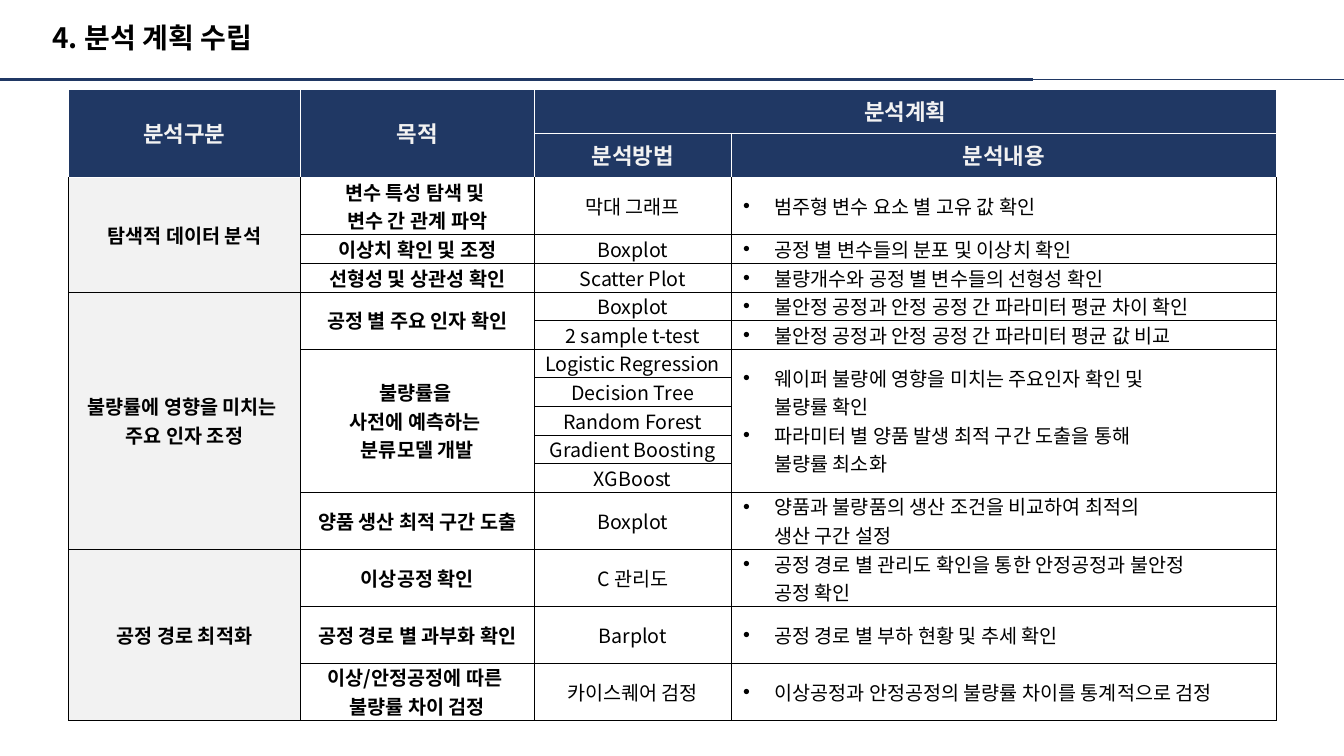
from dataclasses import dataclass
from itertools import product

from lxml.etree import SubElement
from pptx import Presentation
from pptx.dml.color import RGBColor
from pptx.enum.shapes import MSO_CONNECTOR
from pptx.enum.text import MSO_ANCHOR, MSO_AUTO_SIZE, PP_ALIGN
from pptx.oxml.ns import qn
from pptx.util import Inches, Pt


@dataclass(frozen=True)
class Theme:
    font: str = "Noto Sans CJK KR"
    navy: str = "203864"
    pale: str = "F2F2F2"
    black: str = "000000"
    white: str = "FFFFFF"
    title_size: int = 20
    header_size: int = 16
    body_size: int = 14
    border: float = 0.25


# Table content: None continues the cell above (or to the left in the top row)
HEADER_ROWS = 2
COLUMNS = [2.3, 2.32, 1.95, 5.41]
ROWS = [
    (0.44, "분석구분", "목적", "분석계획", None),
    (0.44, None, None, "분석방법", "분석내용"),
    (0.56, "탐색적 데이터 분석", "변수 특성 탐색 및 \n변수 간 관계 파악", "막대 그래프",
     ["범주형 변수 요소 별 고유 값 확인"]),
    (0.28, None, "이상치 확인 및 조정", "Boxplot", ["공정 별 변수들의 분포 및 이상치 확인"]),
    (0.28, None, "선형성 및 상관성 확인", "Scatter Plot",
     ["불량개수와 공정 별 변수들의 선형성 확인"]),
    (0.28, "불량률에 영향을 미치는 \n주요 인자 조정", "공정 별 주요 인자 확인", "Boxplot",
     ["불안정 공정과 안정 공정 간 파라미터 평균 차이 확인"]),
    (0.28, None, None, "2 sample t-test",
     ["불안정 공정과 안정 공정 간 파라미터 평균 값 비교"]),
    (0.28, None, "불량률을 \n사전에 예측하는 \n분류모델 개발", "Logistic Regression",
     ["웨이퍼 불량에 영향을 미치는 주요인자 확인 및 \n불량률 확인",
      "파라미터 별 양품 발생 최적 구간 도출을 통해 \n불량률 최소화"]),
    (0.28, None, None, "Decision Tree", None),
    (0.28, None, None, "Random Forest", None),
    (0.28, None, None, "Gradient Boosting", None),
    (0.28, None, None, "XGBoost", None),
    (0.56, None, "양품 생산 최적 구간 도출", "Boxplot",
     ["양품과 불량품의 생산 조건을 비교하여 최적의 \n생산 구간 설정"]),
    (0.56, "공정 경로 최적화", "이상공정 확인", "C 관리도",
     ["공정 경로 별 관리도 확인을 통한 안정공정과 불안정 \n공정 확인"]),
    (0.56, None, "공정 경로 별 과부화 확인", "Barplot", ["공정 경로 별 부하 현황 및 추세 확인"]),
    (0.56, None, "이상/안정공정에 따른 \n불량률 차이 검정", "카이스퀘어 검정",
     ["이상공정과 안정공정의 불량률 차이를 통계적으로 검정"]),
]


class SlideBuilder:
    def __init__(self, slide, theme):
        self.slide = slide
        self.theme = theme

    def style(self, p, size, color, bold):
        for r in p.runs:
            r.font.name = self.theme.font
            r.font.size = Pt(size)
            r.font.bold = bold
            r.font.color.rgb = RGBColor.from_string(color)
            SubElement(r.font._element, qn("a:ea"), typeface=self.theme.font)

    def title(self, text, left, top, width, height):
        sp = self.slide.shapes.title
        sp.left, sp.top = Inches(left), Inches(top)
        sp.width, sp.height = Inches(width), Inches(height)
        tf = sp.text_frame
        tf.text = text
        tf.auto_size = MSO_AUTO_SIZE.NONE
        tf.vertical_anchor = MSO_ANCHOR.TOP
        tf.margin_top = 0
        p = tf.paragraphs[0]
        p.alignment = PP_ALIGN.LEFT
        p.line_spacing = 0.9
        self.style(p, self.theme.title_size, self.theme.black, True)

    def rules(self, y, *lines):
        group = self.slide.shapes.add_group_shape()
        for end, weight in lines:
            line = group.shapes.add_connector(
                MSO_CONNECTOR.STRAIGHT, 0, Inches(y), Inches(end), Inches(y))
            line.line.color.rgb = RGBColor.from_string(self.theme.navy)
            line.line.width = Pt(weight)
            SubElement(line._element.spPr, qn("a:effectLst"))

    def borders(self, cell, color, top):
        tc_pr = cell._tc.get_or_add_tcPr()
        edges = [("lnL", color), ("lnR", color), ("lnT", top), ("lnB", color)]
        for i, (tag, edge_color) in enumerate(edges):
            ln = SubElement(tc_pr, qn(f"a:{tag}"), w=str(Pt(self.theme.border)))
            fill = SubElement(ln, qn("a:solidFill"))
            SubElement(fill, qn("a:srgbClr"), val=edge_color)
            tc_pr.insert(i, ln)

    def bullet(self, p):
        p_pr = p._p.get_or_add_pPr()
        p_pr.set("marL", str(Inches(0.43)))
        p_pr.set("indent", str(Inches(-0.31)))
        SubElement(p_pr, qn("a:buFont"), typeface="Arial")
        SubElement(p_pr, qn("a:buChar"), char="•")

    def cell(self, cell, content, row, col):
        t = self.theme
        header = row < HEADER_ROWS
        # Fill and borders
        if header or col == 0:
            cell.fill.solid()
            cell.fill.fore_color.rgb = RGBColor.from_string(t.navy if header else t.pale)
        else:
            cell.fill.background()
        self.borders(cell, t.white if header else t.black,
                     t.white if row <= HEADER_ROWS else t.black)
        # Text
        margin = Inches(0.05 if header else 0)
        cell.margin_left = cell.margin_right = margin
        cell.margin_top = cell.margin_bottom = margin
        cell.vertical_anchor = MSO_ANCHOR.MIDDLE
        if content is None:
            return
        bulleted = isinstance(content, list)
        tf = cell.text_frame
        for i, text in enumerate(content if bulleted else [content]):
            p = tf.add_paragraph() if i else tf.paragraphs[0]
            p.text = text
            if bulleted:
                self.bullet(p)
            else:
                p.alignment = PP_ALIGN.CENTER
            self.style(p, t.header_size if header else t.body_size,
                       t.pale if header else t.black, header or col < 2)

    def table(self, left, top, columns, rows):
        heights = [row[0] for row in rows]
        grid = [row[1:] for row in rows]
        table = self.slide.shapes.add_table(
            len(rows), len(columns), Inches(left), Inches(top),
            Inches(sum(columns)), Inches(sum(heights))).table
        table.first_row = table.horz_banding = False
        for column, width in zip(table.columns, columns):
            column.width = Inches(width)
        for table_row, height in zip(table.rows, heights):
            table_row.height = Inches(height)
        for row, col in product(range(len(rows)), range(len(columns))):
            content = grid[row][col]
            self.cell(table.cell(row, col), content, row, col)
            if content is None:
                continue
            # Merge over the empty places below, or to the right in the top row
            last_row, last_col = row, col
            while last_row + 1 < len(rows) and grid[last_row + 1][col] is None:
                last_row += 1
            if row == 0 and col + 1 < len(columns) and grid[0][col + 1] is None:
                last_col += 1
            if (last_row, last_col) != (row, col):
                table.cell(row, col).merge(table.cell(last_row, last_col))


def main():
    prs = Presentation()
    prs.slide_width, prs.slide_height = Inches(13.33), Inches(7.5)
    slide = prs.slides.add_slide(prs.slide_layouts[5])
    builder = SlideBuilder(slide, Theme())

    # Heading with its two-weight rule
    builder.title("4. 분석 계획 수립", 0.42, 0.24, 9.19, 0.47)
    builder.rules(0.79, (13.33, 0.75), (10.25, 2.5))

    # Analysis plan
    builder.table(0.68, 0.88, COLUMNS, ROWS)
    prs.save("out.pptx")


if __name__ == "__main__":
    main()
